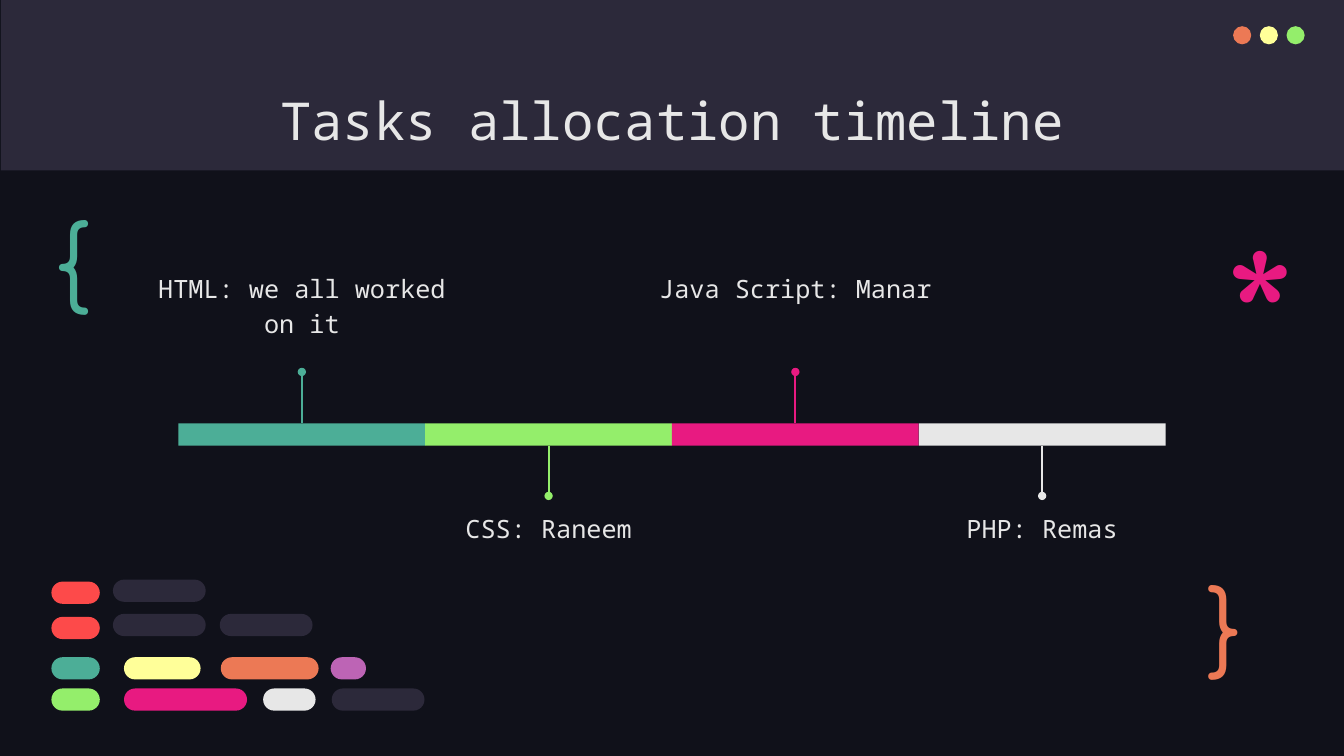
from pptx import Presentation
from pptx.dml.color import RGBColor
from pptx.enum.shapes import MSO_CONNECTOR, MSO_SHAPE
from pptx.enum.text import MSO_ANCHOR, PP_ALIGN
from pptx.oxml.ns import qn
from pptx.util import Inches, Pt
from lxml.etree import SubElement

COLORS = {
    "night": "10111A", "slate": "2C293A", "light": "E7E7E7", "teal": "4CAE97",
    "green": "94EE6B", "pink": "E81A81", "orange": "EC7955", "yellow": "FFFF99",
    "red": "FD4A4A", "purple": "BD64B5",
}
MONO, ROUNDED = "Noto Sans Mono", "Comfortaa"
TASKS = [
    ("HTML: we all worked on it", "teal"), ("CSS: Raneem", "green"),
    ("Java Script: Manar", "pink"), ("PHP: Remas", "light"),
]
CODE_PILLS = [
    (0, 0.02, 0.48, "red"), (0.61, 0, 0.92, "slate"),
    (0, 0.37, 0.48, "red"), (0.61, 0.34, 0.92, "slate"), (1.67, 0.34, 0.92, "slate"),
    (0, 0.77, 0.48, "teal"), (0.72, 0.77, 0.76, "yellow"),
    (1.68, 0.77, 0.97, "orange"), (2.77, 0.77, 0.35, "purple"),
    (0, 1.08, 0.48, "green"), (0.72, 1.08, 1.22, "pink"),
    (2.1, 1.08, 0.52, "light"), (2.78, 1.08, 0.92, "slate"),
]
SYMBOLS = [
    ("*", (12.03, 1.98, 0.76, 1.15), 128, "pink", MSO_ANCHOR.TOP),
    ("{", (0.41, 1.86, 1.03, 1.27), 66.7, "teal", MSO_ANCHOR.TOP),
    ("}", (11.85, 5.61, 0.76, 1.11), 66.7, "orange", MSO_ANCHOR.MIDDLE),
]


def rgb(color):
    """Return the palette colour with this name."""
    return RGBColor.from_string(COLORS[color])


def add_block(slide, kind, box, color):
    """Add a plain filled shape."""
    block = slide.shapes.add_shape(kind, *map(Inches, box))
    block.shadow.inherit = False
    block.fill.solid()
    block.fill.fore_color.rgb = rgb(color)
    block.line.fill.background()
    return block


def write(holder, wording, size, font, color, align=None, spacing=1.15, anchor=MSO_ANCHOR.TOP):
    """Set and format the single paragraph of a text holder."""
    frame = holder.text_frame
    frame.text = wording
    frame.word_wrap = True
    frame.vertical_anchor = anchor
    frame.margin_left = frame.margin_right = Inches(0.13)
    frame.margin_top = frame.margin_bottom = Inches(0.13)
    paragraph = frame.paragraphs[0]
    paragraph.alignment = align
    paragraph.line_spacing = spacing
    run_font = paragraph.runs[0].font
    run_font.size, run_font.name = Pt(size), font
    run_font.color.rgb = rgb(color)


def add_stem(slide, x, bar_edge, end, color):
    """Draw a line from the bar to a round end."""
    stem = slide.shapes.add_connector(
        MSO_CONNECTOR.STRAIGHT, *map(Inches, (x, bar_edge, x, end)))
    stem.line.color.rgb = rgb(color)
    stem.line.width = Pt(1.5)
    SubElement(stem.line._get_or_add_ln(), qn("a:tailEnd"), type="oval")
    SubElement(stem._element.spPr, qn("a:effectLst"))


def add_header(slide, left, top, width, height):
    """Build the title band with its window buttons."""
    band = add_block(slide, MSO_SHAPE.RECTANGLE, (left, top, width, height), "slate")
    slide.shapes._spTree.insert(2, band._element)
    for i, color in enumerate(("orange", "yellow", "green")):
        button = (left + 12.22 + i * 0.265, top + 0.26, 0.18, 0.18)
        add_block(slide, MSO_SHAPE.OVAL, button, color)
    title = slide.shapes.title
    title.left, title.top = Inches(left + 1.04), Inches(top + 0.65)
    title.width, title.height = Inches(11.23), Inches(0.84)
    write(title, "Tasks allocation timeline", 37.3, MONO, "light", PP_ALIGN.CENTER)


def add_timeline(slide, left, top, width, height):
    """Build the bar with labels alternating above and below it."""
    step = width / len(TASKS)
    label_width, label_height = 3.13, 1.15
    for i, (wording, color) in enumerate(TASKS):
        x = left + i * step
        center = x + step / 2
        add_block(slide, MSO_SHAPE.RECTANGLE, (x, top, step, height), color)
        if i % 2:
            bar_edge, end = top + height, top + 0.72
            label_top = end
        else:
            bar_edge, end = top, top - 0.51
            label_top = end - label_height
        add_stem(slide, center, bar_edge, end, color)
        box = (center - label_width / 2, label_top, label_width, label_height)
        label = slide.shapes.add_textbox(*map(Inches, box))
        write(label, wording, 18, MONO, "light", PP_ALIGN.CENTER)


def add_code_pills(slide, left, top, height):
    """Build the rows of pills that stand for code."""
    for x, y, width, color in CODE_PILLS:
        box = (left + x, top + y, width, height)
        pill = add_block(slide, MSO_SHAPE.ROUNDED_RECTANGLE, box, color)
        pill.adjustments[0] = 0.5


def add_symbols(slide):
    """Place the large code symbols around the timeline."""
    for sign, box, size, color, anchor in SYMBOLS:
        symbol = slide.shapes.add_textbox(*map(Inches, box))
        write(symbol, sign, size, ROUNDED, color, PP_ALIGN.LEFT, 1, anchor)


def main():
    """Build and save the slide."""
    deck = Presentation()
    deck.slide_width, deck.slide_height = Inches(13.33), Inches(7.5)
    slide = deck.slides.add_slide(deck.slide_layouts[5])
    slide.background.fill.solid()
    slide.background.fill.fore_color.rgb = rgb("night")
    add_header(slide, 0.01, 0, 13.33, 1.69)
    add_timeline(slide, 1.77, 4.2, 9.79, 0.22)
    add_code_pills(slide, 0.51, 5.75, 0.22)
    add_symbols(slide)
    deck.save("out.pptx")


main()
